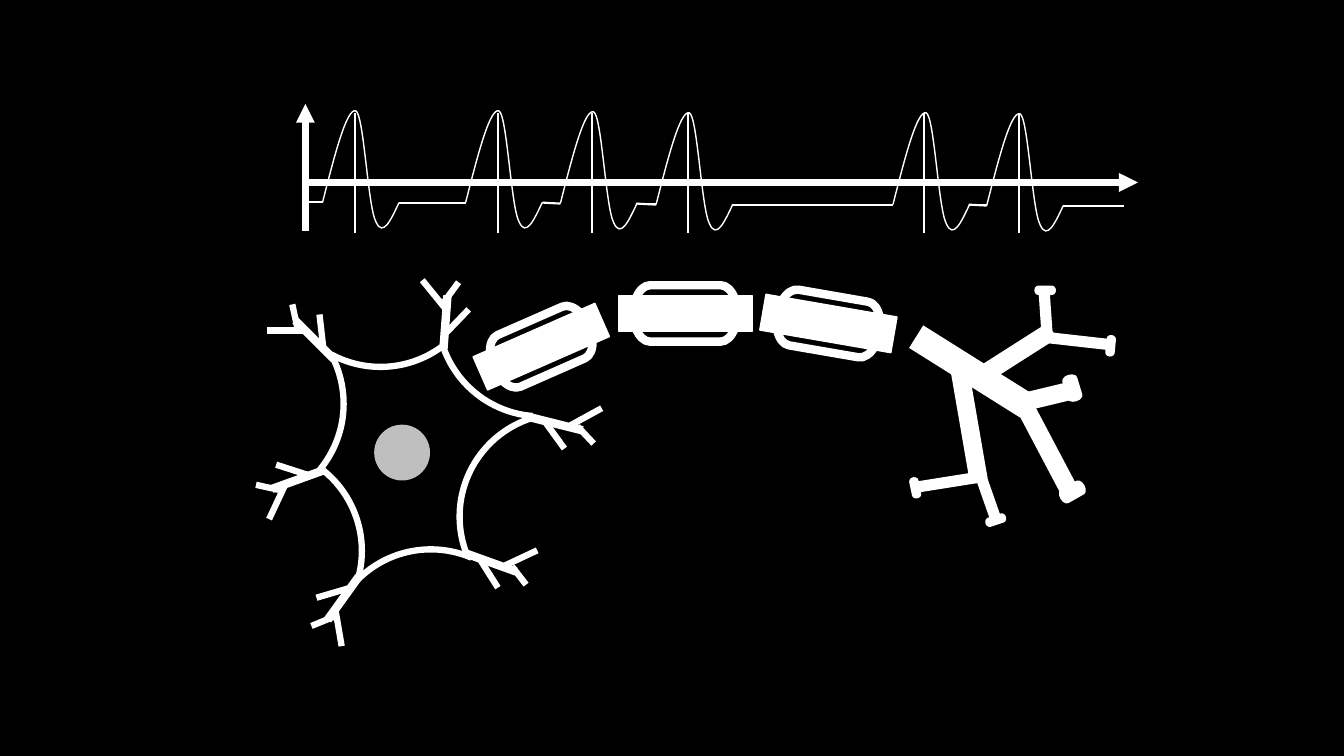
from typing import NamedTuple

from lxml import etree
from pptx import Presentation
from pptx import util as u
from pptx.dml.color import RGBColor
from pptx.enum import shapes as kinds
from pptx.oxml import ns

BLACK = RGBColor(0x00, 0x00, 0x00)
WHITE = RGBColor(0xFF, 0xFF, 0xFF)
GREY = RGBColor(0xBF, 0xBF, 0xBF)
SHAPE = kinds.MSO_SHAPE


class Box(NamedTuple):
    """Region whose parts are measured in units from its top left corner."""
    left: int
    top: int
    unit: int = u.Cm(2.54)

    def point(self, x, y):
        return round(self.left + x * self.unit), round(self.top + y * self.unit)

    def length(self, size):
        return round(size * self.unit)


def style(shape, line_width, fill=None, line=WHITE):
    shape.shadow.inherit = False
    if fill is None:
        shape.fill.background()
    else:
        shape.fill.solid()
        shape.fill.fore_color.rgb = fill
    shape.line.color.rgb = line
    shape.line.width = u.Pt(line_width)


def add_preset(group, box, kind, centre, size, rotation=0):
    """Add a horizontally mirrored preset shape around its centre."""
    width, height = size
    left, top = box.point(centre[0] - width / 2, centre[1] - height / 2)
    shape = group.shapes.add_shape(kind, left, top, box.length(width), box.length(height))
    shape.rotation = rotation
    shape._element.spPr.find(ns.qn("a:xfrm")).set("flipH", "1")
    return shape


def add_line(group, box, start, end, width, arrow=None):
    """Add a straight line; arrow is "headEnd" or "tailEnd"."""
    line = group.shapes.add_connector(
        kinds.MSO_CONNECTOR.STRAIGHT, *box.point(*start), *box.point(*end))
    line.line.color.rgb = WHITE
    line.line.width = u.Pt(width)
    if arrow:
        etree.SubElement(line.line._get_or_add_ln(), ns.qn(f"a:{arrow}"), type="triangle")
    etree.SubElement(line._element.spPr, ns.qn("a:effectLst"))


def draw_soma(group, box):
    diameter = 2.05
    short, long = (162, 202.65), (143.16, 200.72)
    membrane = [
        (-0.96, 1.94, 105, short), (-1.14, 0.48, 129.6, short),
        (0.25, -0.91, 208.5, short), (1.84, -0.42, 252.2, short),
        (2.06, 1.6, 311.7, long), (0.75, 2.95, 23.2, short),
    ]
    for left, top, rotation, sweep in membrane:
        centre = left + diameter / 2, top + diameter / 2
        arc = add_preset(group, box, SHAPE.ARC, centre, (diameter, diameter), rotation)
        arc.adjustments[0], arc.adjustments[1] = sweep
        style(arc, 4.5)

    nucleus = add_preset(group, box, SHAPE.OVAL, (1.49, 1.99), (0.54, 0.54))
    style(nucleus, 1, GREY, GREY)


def draw_dendrites(group, box):
    # Each dendrite is a stem followed by its twigs, as (start, end) pairs.
    dendrites = [
        [((0.81, 1.06), (0.43, 0.68)), ((0.71, 0.97), (0.67, 0.62)),
         ((0.15, 0.78), (0.51, 0.78)), ((0.4, 0.52), (0.45, 0.75))],
        [((0.7, 2.17), (0.2, 2.35)), ((0.58, 2.22), (0.24, 2.11)),
         ((0.17, 2.65), (0.32, 2.33)), ((0.04, 2.31), (0.27, 2.36))],
        [((1.06, 3.22), (0.75, 3.65)), ((0.98, 3.33), (0.64, 3.43)),
         ((0.89, 3.91), (0.83, 3.56)), ((0.59, 3.71), (0.81, 3.62))],
        [((2.12, 2.99), (2.62, 3.17)), ((2.25, 3.03), (2.44, 3.33)),
         ((2.83, 2.96), (2.51, 3.11)), ((2.72, 3.3), (2.58, 3.12))],
        [((2.76, 1.64), (3.28, 1.77)), ((2.89, 1.66), (3.1, 1.95)),
         ((3.47, 1.55), (3.16, 1.72)), ((3.39, 1.9), (3.23, 1.73))],
        [((1.9, 0.96), (1.94, 0.43)), ((1.9, 0.83), (2.15, 0.57)),
         ((1.69, 0.28), (1.91, 0.55)), ((2.05, 0.3), (1.91, 0.49))],
    ]
    for stem, *twigs in dendrites:
        add_line(group, box, *stem, 6)
        for twig in twigs:
            add_line(group, box, *twig, 4.5)


def draw_myelinated_axon(group, box):
    for x, y, rotation in [(2.3, 0.61, 0), (0.87, 0.94, 336.3), (3.72, 0.71, 9.8)]:
        sheath = add_preset(
            group, box, SHAPE.FLOWCHART_TERMINATOR, (x, y), (1.03, 0.56), rotation)
        style(sheath, 6)
        axon = add_preset(group, box, SHAPE.RECTANGLE, (x, y), (1.32, 0.36), rotation)
        style(axon, 1, WHITE)


def draw_terminals(group, box):
    branches = {
        19: [((0.09, 0.84), (1.19, 1.53))],
        13: [((0.52, 1.16), (0.71, 2.26)), ((1.44, 0.78), (0.78, 1.2)),
             ((1.6, 2.35), (1.13, 1.46)), ((1.07, 1.51), (1.61, 1.38))],
        8: [((2.02, 0.92), (1.31, 0.84)), ((1.39, 0.83), (1.36, 0.4)),
            ((0.11, 2.33), (0.74, 2.23)), ((0.74, 2.25), (0.88, 2.65))],
    }
    for width, ends in branches.items():
        for start, end in ends:
            add_line(group, box, start, end, width)

    small, large = (0.2, 0.08), (0.26, 0.14)
    boutons = [
        ((1.37, 0.38), small, 0), ((2.02, 0.93), small, 95.4),
        ((1.64, 1.35), large, 73.1), ((1.64, 2.38), large, 150.4),
        ((0.88, 2.66), small, 161.6), ((0.08, 2.34), small, 258.4),
    ]
    for centre, size, rotation in boutons:
        bouton = add_preset(group, box, SHAPE.FLOWCHART_TERMINATOR, centre, size, rotation)
        style(bouton, 1, WHITE)


def add_spike(group, box, x, y):
    """Draw one action potential as three Bezier curves from (x, y)."""
    start, *extremes = (0, 0), (0.33, -0.91), (0.53, 0.25), (0.76, 0)
    curves = [
        [(0.12, -0.47), (0.24, -0.94), (0.33, -0.91)],
        [(0.41, -0.88), (0.45, 0.04), (0.53, 0.19)],
        [(0.6, 0.35), (0.68, 0.17), (0.76, 0)],
    ]
    outline = group.shapes.build_freeform(*box.point(x + start[0], y + start[1]))
    outline.add_line_segments(
        [box.point(x + dx, y + dy) for dx, dy in extremes], close=False)
    spike = outline.convert_to_shape()
    route = next(spike._element.iter(ns.qn("a:path")))
    for segment in route.findall(ns.qn("a:lnTo")):
        route.remove(segment)
    top = extremes[0][1]
    for controls in curves:
        bend = etree.SubElement(route, ns.qn("a:cubicBezTo"))
        for dx, dy in controls:
            etree.SubElement(bend, ns.qn("a:pt"), x=str(box.length(dx)),
                             y=str(box.length(dy - top)))
    style(spike, 1)


def draw_spike_train(slide, box):
    axes, trace, markers = (slide.shapes.add_group_shape() for _ in range(3))
    add_line(axes, box, (0.03, 0.03), (0.03, 1.29), 4.5, "headEnd")
    add_line(axes, box, (0.05, 0.81), (8.29, 0.81), 4.5, "tailEnd")

    resting = [
        ((0.03, 1), (0.2, 1)), ((0.96, 1.01), (1.62, 1.01)),
        ((2.38, 1.01), (2.56, 1.02)), ((3.31, 1.02), (3.51, 1.03)),
        ((3.34, 1.02), (3.51, 1.02)), ((4.26, 1.03), (5.69, 1.03)),
        ((5.69, 1.03), (5.86, 1.03)), ((6.61, 1.03), (6.79, 1.04)),
        ((6.62, 1.03), (6.79, 1.03)), ((7.55, 1.04), (8.15, 1.04)),
    ]
    for start, end in resting:
        add_line(trace, box, start, end, 1.5)

    spikes = [(0.2, 1.01, 0.52), (1.62, 1.01, 1.94), (2.56, 1.02, 2.87),
              (3.51, 1.03, 3.83), (5.86, 1.03, 6.17), (6.79, 1.04, 7.11)]
    for x, y, peak in spikes:
        add_spike(trace, box, x, y)
        add_line(markers, box, (peak, 0.12), (peak, 1.31), 1.5)


def main():
    deck = Presentation()
    deck.slide_width, deck.slide_height = u.Cm(33.87), u.Cm(19.05)
    slide = deck.slides.add_slide(deck.slide_layouts[6])
    slide.background.fill.solid()
    slide.background.fill.fore_color.rgb = BLACK

    neuron = slide.shapes.add_group_shape()
    cell_body = Box(u.Cm(6.35), u.Cm(6.35))
    draw_soma(neuron, cell_body)
    draw_dendrites(neuron, cell_body)
    draw_myelinated_axon(neuron, Box(u.Cm(11.43), u.Cm(6.35)))
    draw_terminals(neuron, Box(u.Cm(22.86), u.Cm(6.35)))
    draw_spike_train(slide, Box(u.Cm(7.62), u.Cm(2.54)))
    deck.save("out.pptx")


if __name__ == "__main__":
    main()
